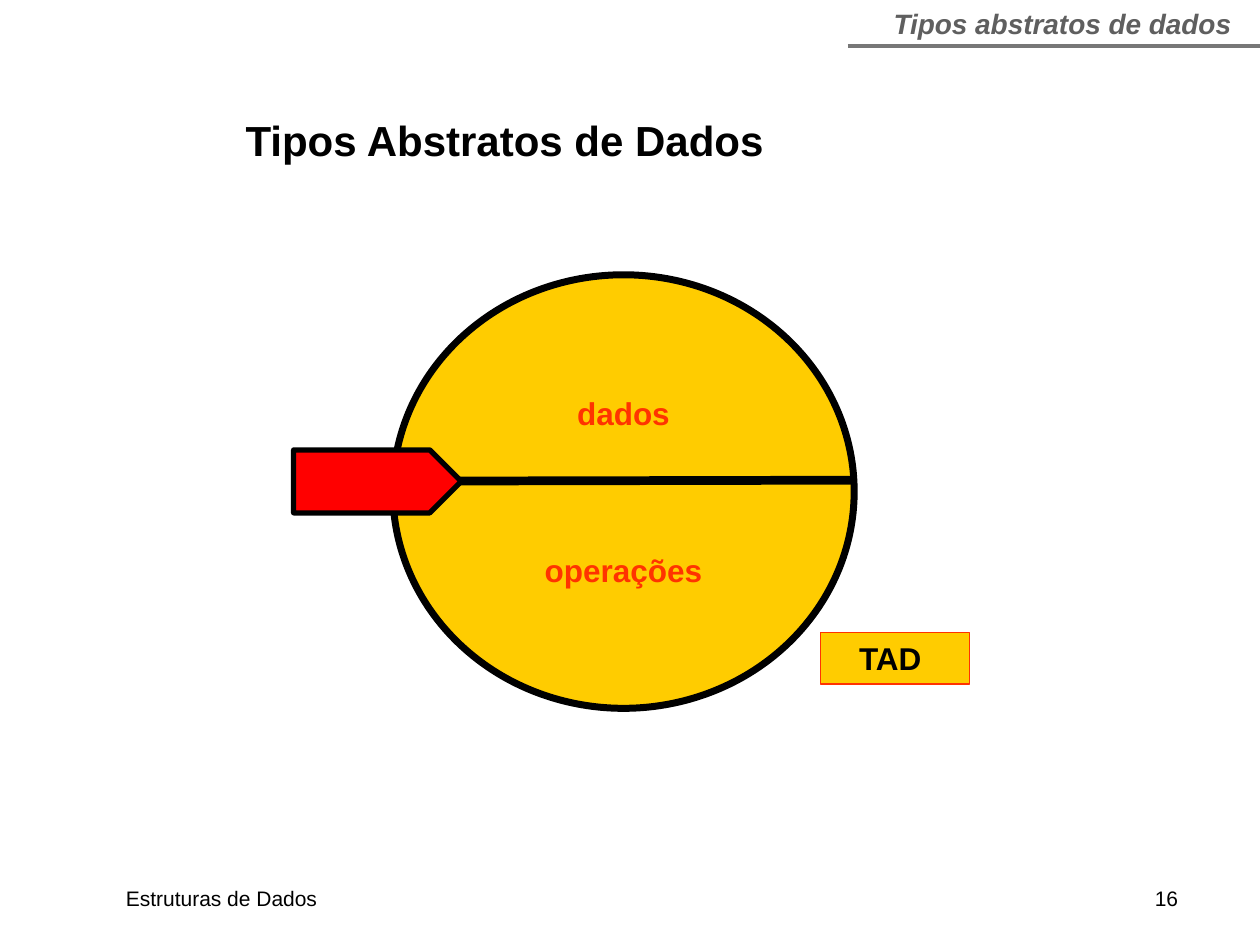
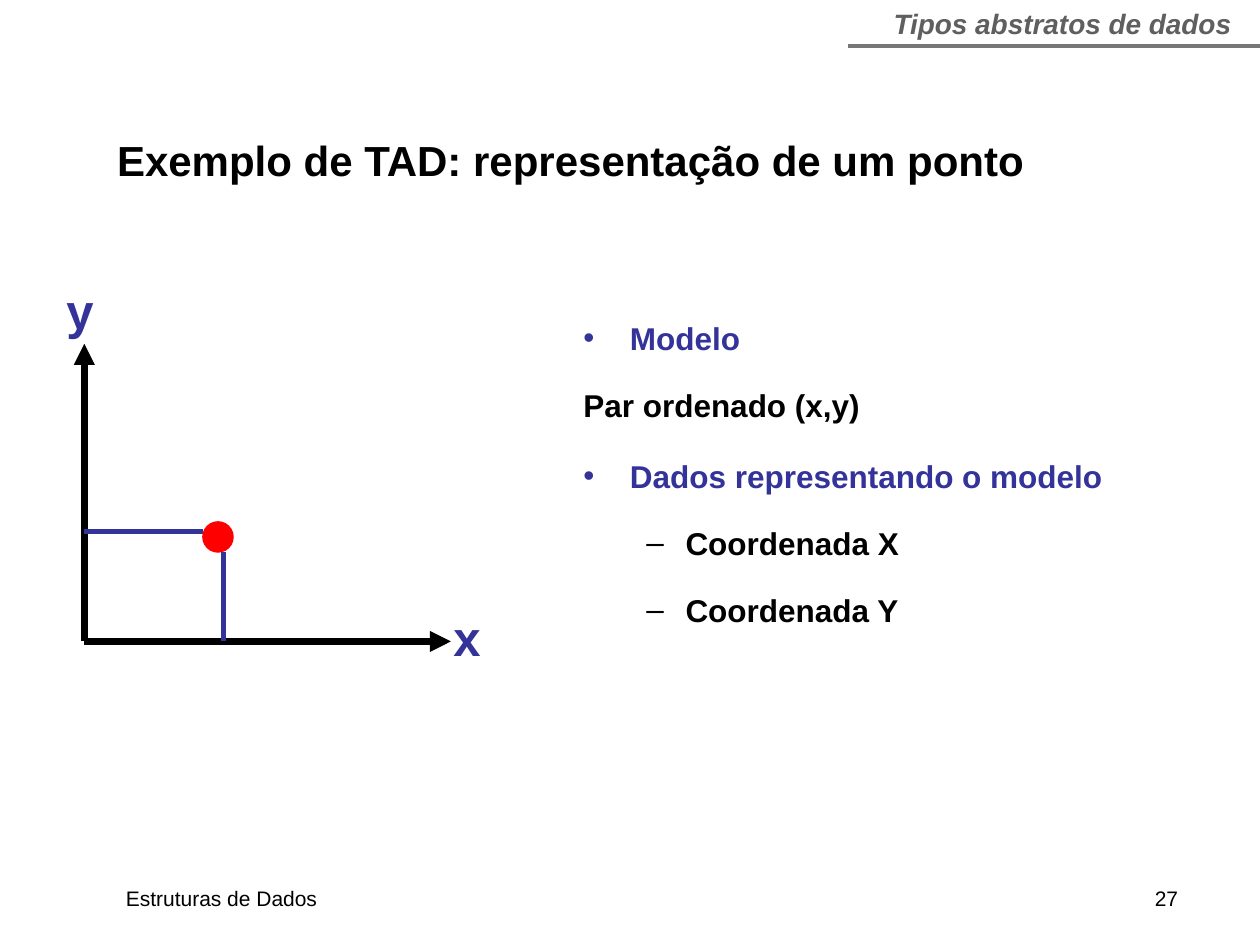
from lxml import etree
from pptx import Presentation
from pptx.dml.color import RGBColor
from pptx.enum.shapes import MSO_CONNECTOR, MSO_SHAPE
from pptx.enum.text import MSO_ANCHOR, PP_ALIGN
from pptx.oxml.ns import qn
from pptx.util import Cm, Pt

STRAIGHT = MSO_CONNECTOR.STRAIGHT
ELLIPSE, RECTANGLE, PENTAGON = MSO_SHAPE.OVAL, MSO_SHAPE.RECTANGLE, MSO_SHAPE.PENTAGON
LEFT, CENTER, RIGHT = PP_ALIGN.LEFT, PP_ALIGN.CENTER, PP_ALIGN.RIGHT
TOP, MIDDLE = MSO_ANCHOR.TOP, MSO_ANCHOR.MIDDLE

BLACK = RGBColor(0x00, 0x00, 0x00)
RED = RGBColor(0xFF, 0x00, 0x00)
ORANGE_RED = RGBColor(0xFF, 0x33, 0x00)
GOLD = RGBColor(0xFF, 0xCC, 0x00)
INDIGO = RGBColor(0x33, 0x33, 0x99)
RULE_GREY = RGBColor(0x77, 0x77, 0x77)
HEADER_GREY = RGBColor(0x5F, 0x5F, 0x5F)

FONT = "Arial"
SLIDE_WIDTH, SLIDE_HEIGHT = 25.4, 19.05


def style(paragraph, size, color, bold=True, italic=False, align=LEFT):
    paragraph.alignment = align
    font = paragraph.font
    font.name, font.size = FONT, Pt(size)
    font.bold, font.italic = bold, italic
    font.color.rgb = color


def add_text(slide, text, box, size, color, anchor=TOP, **look):
    frame = slide.shapes.add_textbox(*map(Cm, box)).text_frame
    frame.word_wrap = True
    frame.vertical_anchor = anchor
    frame.text = text
    style(frame.paragraphs[0], size, color, **look)


def add_shape(slide, kind, box, fill, line, width):
    shape = slide.shapes.add_shape(kind, *map(Cm, box))
    shape.shadow.inherit = False
    shape.fill.solid()
    shape.fill.fore_color.rgb = fill
    shape.line.color.rgb = line
    shape.line.width = Pt(width)
    return shape


def add_line(slide, start, end, color, width, arrow=False):
    connector = slide.shapes.add_connector(STRAIGHT, *map(Cm, start + end))
    connector.line.color.rgb = color
    connector.line.width = Pt(width)
    properties = connector._element.spPr
    etree.SubElement(properties, qn("a:effectLst"))
    if arrow:
        outline = properties.find(qn("a:ln"))
        etree.SubElement(outline, qn("a:tailEnd"), type="triangle")


def set_bullet(paragraph, char, color, left, hanging):
    """Give a hanging indent in cm, with a bullet if char is not empty."""
    properties = paragraph._p.get_or_add_pPr()
    properties.set("marL", str(Cm(left)))
    properties.set("indent", str(-Cm(hanging)))
    if char:
        bullet_color = etree.SubElement(properties, qn("a:buClr"))
        etree.SubElement(bullet_color, qn("a:srgbClr"), val=str(color))
        etree.SubElement(properties, qn("a:buFont"), typeface=FONT)
        etree.SubElement(properties, qn("a:buChar"), char=char)


def add_outline(slide, items, box):
    """Write (text, level, bullet, color, space before) items."""
    frame = slide.shapes.add_textbox(*map(Cm, box)).text_frame
    frame.word_wrap = True
    indents = [(0.94, 0.94), (2.06, 0.79)]
    for index, (text, level, bullet, color, before) in enumerate(items):
        paragraph = frame.add_paragraph() if index else frame.paragraphs[0]
        paragraph.text = text
        paragraph.level = level
        paragraph.line_spacing = 1.5
        paragraph.space_before = Pt(before)
        set_bullet(paragraph, bullet, color, *indents[level])
        style(paragraph, 18, color)


def add_base_slide(deck, title, title_box, number):
    """Add a slide with the shared header, title and footer."""
    slide = deck.slides.add_slide(deck.slide_layouts[6])
    add_text(slide, "Estruturas de Dados", (2.29, 17.73, 10, 0.76), 12, BLACK, bold=False)
    add_text(slide, str(number), (22, 17.73, 2, 0.76), 12, BLACK, bold=False, align=RIGHT)
    add_text(slide, title, title_box, 24, BLACK, anchor=MIDDLE)
    add_line(slide, (17.09, 0.92), (SLIDE_WIDTH, 0.92), RULE_GREY, 2.25)
    add_text(slide, "Tipos abstratos de dados", (17.75, 0, 7.34, 0.94), 16, HEADER_GREY,
             italic=True, align=CENTER)
    return slide


def add_type_diagram(slide):
    capsule = add_shape(slide, ELLIPSE, (7.92, 5.54, 9.3, 8.74), GOLD, BLACK, 4)
    frame = capsule.text_frame
    frame.vertical_anchor = MIDDLE
    frame.text = "dados\noperações"
    for half in frame.paragraphs:
        style(half, 18, ORANGE_RED, align=CENTER)
    frame.paragraphs[1].space_before = Pt(68)

    add_line(slide, (8.05, 9.7), (17.25, 9.68), BLACK, 5)
    add_shape(slide, PENTAGON, (5.92, 9.07, 3.38, 1.27), RED, BLACK, 3)

    label = add_shape(slide, RECTANGLE, (16.54, 12.75, 3, 1.04), GOLD, ORANGE_RED, 0.75)
    label.text_frame.margin_left = Cm(0.78)
    label.text_frame.text = "TAD"
    style(label.text_frame.paragraphs[0], 18, BLACK)


def add_point_plot(slide):
    origin_x, origin_y = 1.7, 12.93
    point_x, point_y, diameter = 4.09, 10.52, 0.61
    drop_x, guide_y = 4.5, 10.72
    origin = (origin_x, origin_y)
    add_line(slide, origin, (origin_x, 6.93), BLACK, 4, arrow=True)
    add_line(slide, origin, (9.09, origin_y), BLACK, 4, arrow=True)
    add_line(slide, (drop_x, point_y + diameter), (drop_x, origin_y), INDIGO, 3)
    add_line(slide, (origin_x, guide_y), (point_x, guide_y), INDIGO, 3)
    add_shape(slide, ELLIPSE, (point_x, point_y, diameter, diameter), RED, RED, 0.75)
    for axis, left, top in [("x", 8.89, 12.12), ("y", 1.09, 5.54)]:
        add_text(slide, axis, (left, top, 1.04, 1.45), 28, INDIGO)


def main():
    deck = Presentation()
    deck.slide_width, deck.slide_height = Cm(SLIDE_WIDTH), Cm(SLIDE_HEIGHT)

    concept = add_base_slide(deck, "Tipos Abstratos de Dados", (4.7, 1.73, 11.4, 2.18), 16)
    add_type_diagram(concept)

    example = add_base_slide(deck, "Exemplo de TAD: representação de um ponto",
                             (2.11, 2.31, 19.02, 1.8), 27)
    add_point_plot(example)
    add_outline(example, [
        ("Modelo", 0, "•", INDIGO, 0),
        ("Par ordenado (x,y)", 0, "", BLACK, 6),
        ("Dados representando o modelo", 0, "•", INDIGO, 8),
        ("Coordenada X", 1, "–", BLACK, 6),
        ("Coordenada Y", 1, "–", BLACK, 6),
    ], (11.51, 5.92, 11.61, 8))

    deck.save("out.pptx")


if __name__ == "__main__":
    main()
